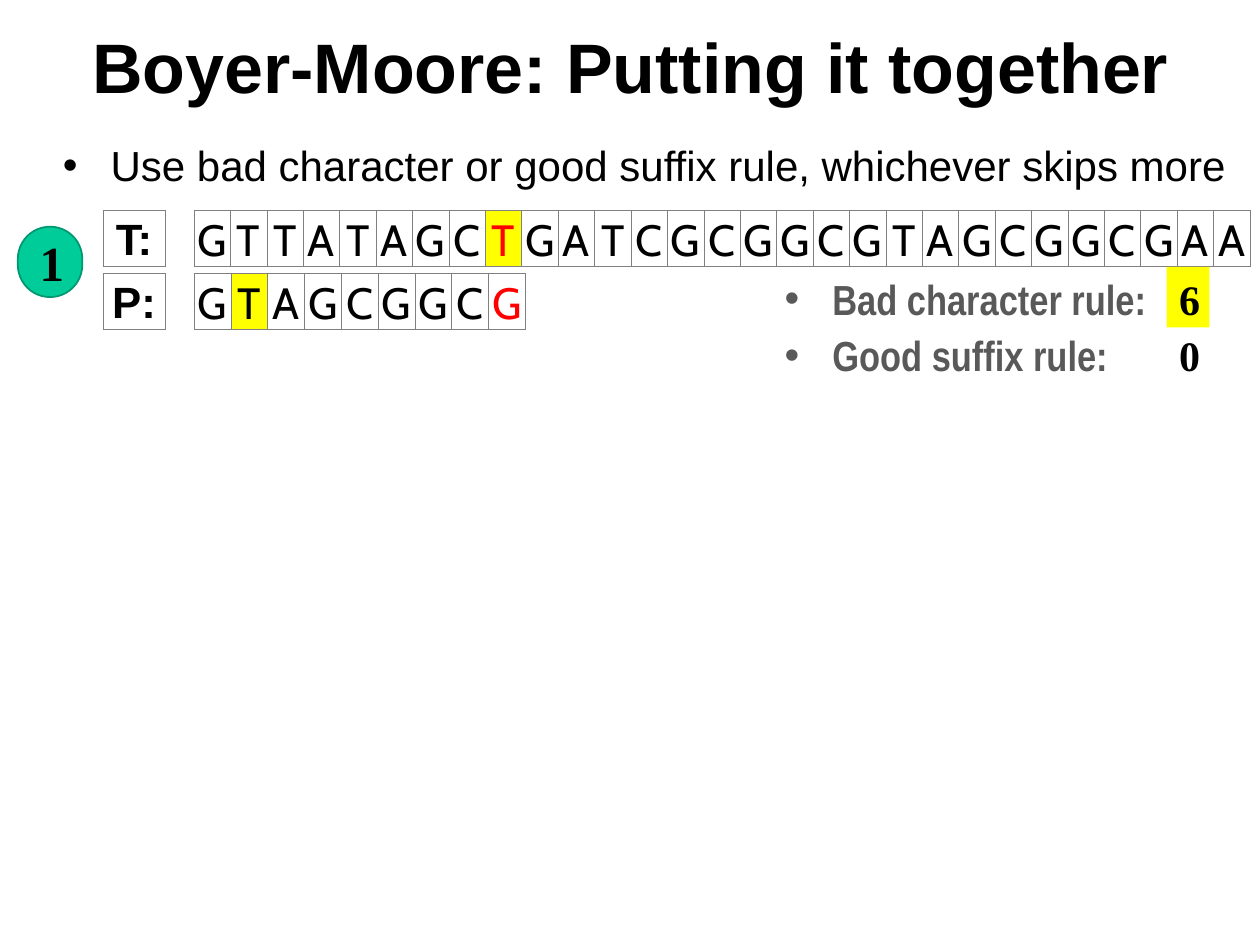
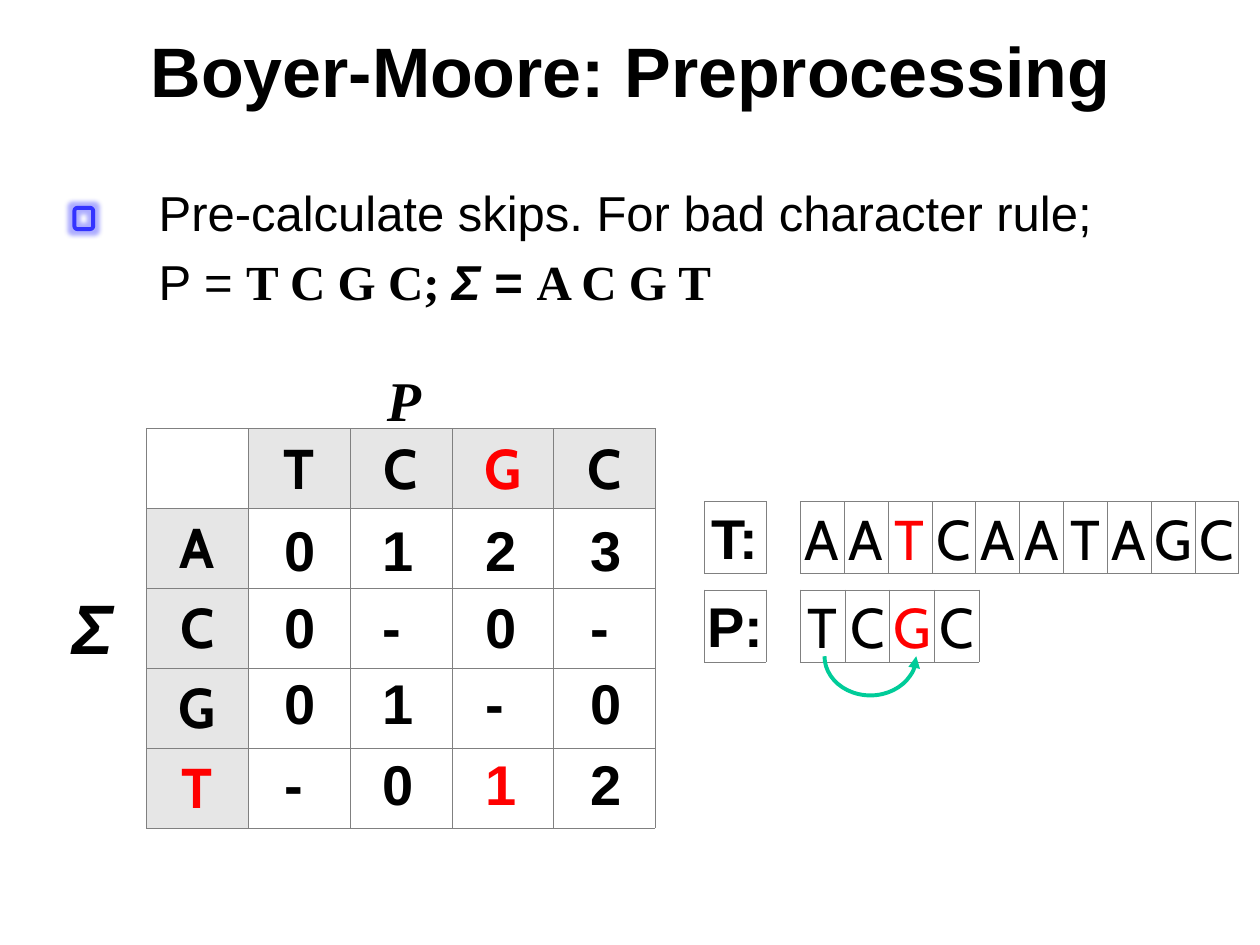
from lxml import etree
from pptx import Presentation
from pptx.dml.color import RGBColor
from pptx.enum.shapes import MSO_SHAPE as SHAPE
from pptx.enum.text import MSO_ANCHOR as ANCHOR, PP_ALIGN as ALIGN
from pptx.oxml import parse_xml
from pptx.oxml.ns import nsdecls, qn
from pptx.util import Cm, Pt

COLORS = {
    "text": "000000", "muted": "595959", "mark": "FF0000", "hit": "FFFF00",
    "grid": "808080", "header": "E6E6E6", "step": "00CC99",
    "step_edge": "009771", "marker": "3333FF",
}
SANS, NARROW, MONO, SERIF = "Arial", "Arial Narrow", "Cabin", "Times New Roman"


def rgb(key):
    return RGBColor.from_string(COLORS[key])


def add_run(paragraph, text, size, font=SANS, color="text", bold=False, italic=False):
    run = paragraph.add_run()
    run.text = text
    run.font.size = Pt(size)
    run.font.name = font
    run.font.bold = bold
    run.font.italic = italic
    run.font.color.rgb = rgb(color)


def add_bullet(paragraph):
    """Hang the paragraph behind a round bullet."""
    properties = paragraph._p.get_or_add_pPr()
    properties.set("marL", str(Cm(0.96)))
    properties.set("indent", str(-Cm(0.96)))
    etree.SubElement(properties, qn("a:buFont")).set("typeface", SANS)
    etree.SubElement(properties, qn("a:buChar")).set("char", "•")


def add_text(slide, box, text, size, bullet=False, align=ALIGN.LEFT,
             anchor=ANCHOR.TOP, fill=None, **style):
    textbox = slide.shapes.add_textbox(*map(Cm, box))
    if fill:
        textbox.fill.solid()
        textbox.fill.fore_color.rgb = rgb(fill)
    frame = textbox.text_frame
    frame.word_wrap = True
    frame.vertical_anchor = anchor
    paragraph = frame.paragraphs[0]
    paragraph.alignment = align
    if bullet:
        add_bullet(paragraph)
    add_run(paragraph, text, size, **style)
    return frame


def add_outline(slide, kind, box, line, width, fill=None):
    shape = slide.shapes.add_shape(kind, *map(Cm, box))
    shape.shadow.inherit = False
    if fill:
        shape.fill.solid()
        shape.fill.fore_color.rgb = rgb(fill)
    else:
        shape.fill.background()
    shape.line.color.rgb = rgb(line)
    shape.line.width = Pt(width)
    return shape


def add_title(slide, top, text):
    add_text(slide, (1.04, top, 23.34, 2.54), text, 40, bold=True,
             align=ALIGN.CENTER, anchor=ANCHOR.MIDDLE)


def style_cell(cell, fill=None):
    """Give the cell a thin grid border and its own fill."""
    if fill:
        cell.fill.solid()
        cell.fill.fore_color.rgb = rgb(fill)
    else:
        cell.fill.background()
    properties = cell._tc.get_or_add_tcPr()
    for position, side in enumerate("LRTB"):
        properties.insert(position, parse_xml(
            f'<a:ln{side} {nsdecls("a")} w="3175"><a:solidFill>'
            f'<a:srgbClr val="{COLORS["grid"]}"/></a:solidFill></a:ln{side}>'))


def add_grid(slide, box, rows, columns):
    left, top, width, height = box
    table = slide.shapes.add_table(rows, columns, *map(Cm, box)).table
    table.first_row = table.horz_banding = False
    for column in table.columns:
        column.width = Cm(width / columns)
    for row in table.rows:
        row.height = Cm(height / rows)
    return table


def add_strip(slide, left, top, width, texts, size, font=MONO, bold=False,
              mark=None, hit=None):
    """One row of cells; mark is the red letter, hit the yellow cell."""
    strip = add_grid(slide, (left, top, width, 0.8), 1, len(texts))
    for index, text in enumerate(texts):
        cell = strip.cell(0, index)
        style_cell(cell, "hit" if index == hit else None)
        cell.margin_left = cell.margin_right = cell.margin_top = cell.margin_bottom = 0
        cell.vertical_anchor = ANCHOR.MIDDLE
        paragraph = cell.text_frame.paragraphs[0]
        paragraph.alignment = ALIGN.CENTER
        paragraph.line_spacing = 1.07
        paragraph.space_after = Pt(8)
        add_run(paragraph, text, size, font, "mark" if index == mark else "text", bold)


def add_sequence(slide, left, top, gap, label, letters, width, size, **marks):
    """A boxed label followed by its strip of letters."""
    label_width = 1.24
    add_strip(slide, left, top, label_width, [label], size, SANS, bold=True)
    add_strip(slide, left + label_width + gap, top, width, letters, size, **marks)


def add_step_badge(slide, box, number):
    badge = add_outline(slide, SHAPE.ROUNDED_RECTANGLE, box, "step_edge", 1, "step")
    badge.adjustments[0] = 0.5
    badge.text_frame.vertical_anchor = ANCHOR.MIDDLE
    paragraph = badge.text_frame.paragraphs[0]
    paragraph.alignment = ALIGN.CENTER
    add_run(paragraph, number, 28, SERIF, bold=True)


def add_rule_skips(slide, left, top, skips):
    """List each rule with its skip; the largest skip is highlighted."""
    name_width, pitch, height = 7.95, 1.14, 1.22
    best = max(skips.values())
    for index, (rule, skip) in enumerate(skips.items()):
        row_top = top + index * pitch
        add_text(slide, (left, row_top, name_width, height), rule, 24, bullet=True,
                 font=NARROW, color="muted", bold=True)
        add_text(slide, (left + name_width, row_top, 0.86, height), str(skip), 24,
                 font=SERIF, bold=True, fill="hit" if skip == best else None)


def add_skip_table(slide, left, top, pattern, alphabet, skips, mark):
    """Skips by text letter (rows) and pattern position (columns)."""
    width, row_height = 10.26, 1.61
    count = len(alphabet) + 1
    grid = add_grid(slide, (left, top, width, row_height * count), count, len(pattern) + 1)
    mark_row, mark_column = mark

    def fill_header(cell, letter, marked):
        paragraph = cell.text_frame.paragraphs[0]
        paragraph.alignment = ALIGN.CENTER
        add_run(paragraph, letter, 32, MONO, "mark" if marked else "text", bold=True)

    for row in range(count):
        for column in range(len(pattern) + 1):
            is_header = (row == 0) != (column == 0)
            style_cell(grid.cell(row, column), "header" if is_header else None)
    for column, letter in enumerate(pattern):
        fill_header(grid.cell(0, column + 1), letter, column == mark_column)
    for row, letter in enumerate(alphabet):
        fill_header(grid.cell(row + 1, 0), letter, row == mark_row)

    column_offsets = (2.54, 4.52, 6.58, 8.71)
    row_offsets = (1.62, 3.17, 4.72, 6.35)
    for row, values in enumerate(skips):
        for column, value in enumerate(values):
            box = (left + column_offsets[column], top + row_offsets[row], 1.14, 1.63)
            add_text(slide, box, value, 32, bold=True,
                     color="mark" if (row, column) == mark else "text")

    add_text(slide, (left + 4.6, top - 1.4, 1.09, 1.63), "P", 32,
             font=SERIF, bold=True, italic=True)
    add_text(slide, (left - 1.73, top + 3.02, 1.32, 1.96), "Σ", 40,
             bold=True, italic=True)


def add_glow_marker(slide, box):
    marker = add_outline(slide, SHAPE.ROUNDED_RECTANGLE, box, "marker", 2.25)
    effects = marker._element.spPr.find(qn("a:effectLst"))
    effects.append(parse_xml(
        f'<a:glow {nsdecls("a")} rad="63500"><a:srgbClr val="{COLORS["marker"]}">'
        '<a:alpha val="40000"/></a:srgbClr></a:glow>'))


def add_skip_arrow(slide, box):
    """A curved arrow that hangs below the strip and points up at its right end."""
    arc = add_outline(slide, SHAPE.RIGHT_BRACKET, box, "step", 2.25)
    arc.adjustments[0] = 1.17
    arc.rotation = 90
    etree.SubElement(arc.line._get_or_add_ln(), qn("a:headEnd")).set("type", "triangle")


def add_preprocessing_text(slide, left, top):
    frame = add_text(slide, (left, top, 21.41, 3.48),
                     "Pre-calculate skips. For bad character rule;", 28)
    frame.paragraphs[0].line_spacing = 1.5
    definition = frame.add_paragraph()
    definition.space_before = Pt(5.6)
    add_run(definition, "P = ", 28)
    add_run(definition, "T C G C; ", 28, SERIF, bold=True)
    add_run(definition, "Σ ", 28, bold=True, italic=True)
    add_run(definition, "= ", 28, bold=True)
    add_run(definition, "A C G T", 28, SERIF, bold=True)
    add_glow_marker(slide, (left - 1.45, top + 1.22, 0.38, 0.43))


def build_combined_rules(slide):
    add_title(slide, 0.05, "Boyer-Moore: Putting it together")
    add_text(slide, (1.02, 2.69, 24.38, 1.02),
             "Use bad character or good suffix rule, whichever skips more", 24, bullet=True)
    left, gap, size = 2.08, 0.59, 25
    add_sequence(slide, left, 4.24, gap, "T:", "GTTATAGCTGATCGCGGCGTAGCGGCGAA",
                 21.31, size, mark=8, hit=8)
    add_sequence(slide, left, 5.51, gap, "P:", "GTAGCGGCG", 6.68, size, mark=8, hit=1)
    add_step_badge(slide, (0.36, 4.57, 1.3, 1.42), "1")
    add_rule_skips(slide, 15.57, 5.38, {"Bad character rule:": 6, "Good suffix rule:": 0})


def build_preprocessing(slide):
    add_title(slide, 0.13, "Boyer-Moore: Preprocessing")
    left, gap, size = 14.2, 0.69, 32
    add_sequence(slide, left, 10.11, gap, "T:", "AATCAATAGC", 8.84, size, mark=2)
    add_sequence(slide, left, 11.89, gap, "P:", "TCGC", 3.61, size, mark=2)
    add_skip_table(slide, 2.95, 8.64, "TCGC", "ACGT",
                   ("0123", "0-0-", "01-0", "-012"), mark=(3, 2))
    add_preprocessing_text(slide, 2.95, 2.97)
    add_skip_arrow(slide, (17.15, 12.7, 0.79, 1.85))


def main():
    deck = Presentation()
    deck.slide_width, deck.slide_height = Cm(25.4), Cm(19.05)
    blank = deck.slide_layouts[6]
    for build in (build_combined_rules, build_preprocessing):
        build(deck.slides.add_slide(blank))
    deck.save("out.pptx")


if __name__ == "__main__":
    main()
